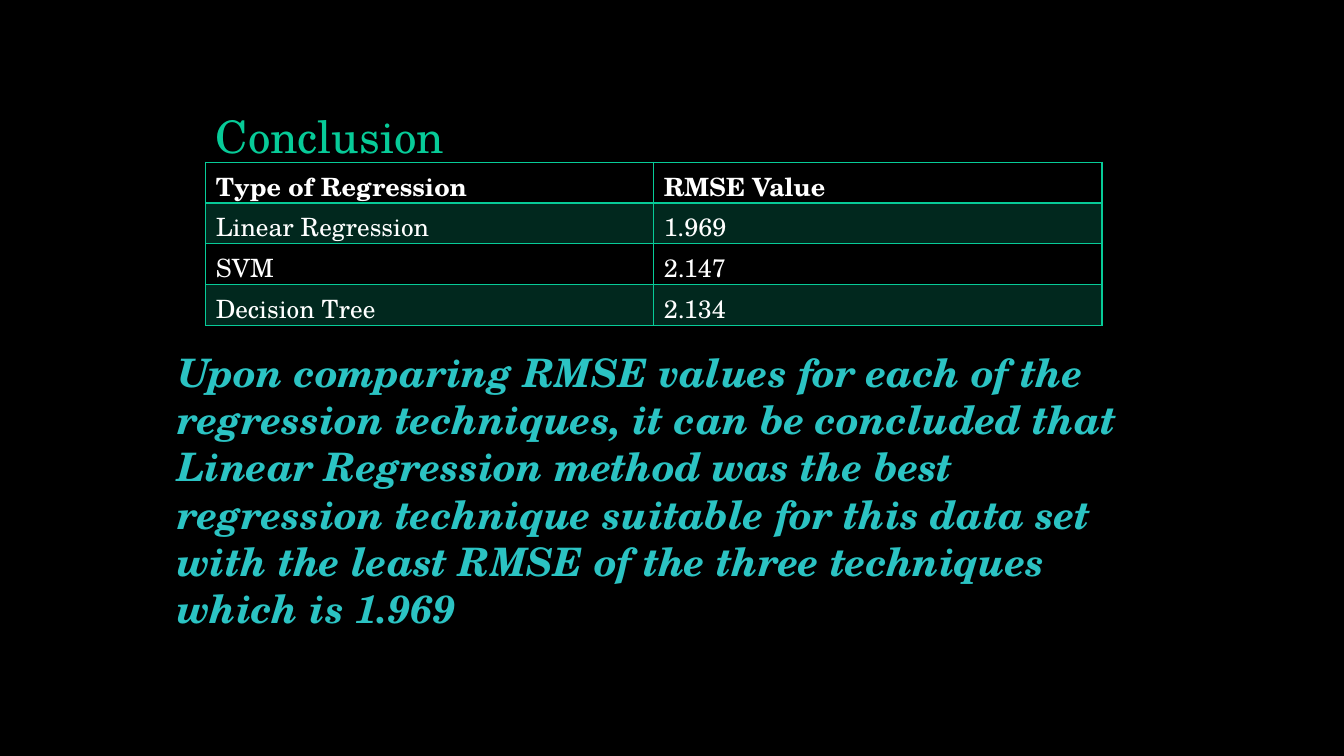
from lxml import etree
from pptx import Presentation
from pptx.dml.color import RGBColor
from pptx.enum.text import MSO_ANCHOR, MSO_AUTO_SIZE, PP_ALIGN
from pptx.oxml.ns import qn
from pptx.util import Inches, Pt

LEFT = PP_ALIGN.LEFT
TOP = MSO_ANCHOR.TOP
FIXED = MSO_AUTO_SIZE.NONE
GROW = MSO_AUTO_SIZE.SHAPE_TO_FIT_TEXT
TITLE_ONLY = 5

COLORS = {"background": "000000", "accent": "07CB98", "finding": "2BC3C3", "cell": "FFFFFF"}
RMSE_ROWS = [
    ("Type of Regression", "RMSE Value"),
    ("Linear Regression", "1.969"),
    ("SVM", "2.147"),
    ("Decision Tree", "2.134"),
]
FINDING = (
    "Upon comparing RMSE values for each of the regression techniques, "
    "it can be concluded that Linear Regression method was the best regression "
    "technique suitable for this data set with the least RMSE of the three "
    "techniques which is 1.969"
)


class SlideBuilder:
    """Hold the style and the current slide, and add elements to it."""

    font_name = "TeX Gyre Schola"

    def __init__(self, slide):
        self.slide = slide

    def color(self, name):
        return RGBColor.from_string(COLORS[name])

    def background(self, name):
        fill = self.slide.background.fill
        fill.solid()
        fill.fore_color.rgb = self.color(name)

    def set_text(self, frame, text, size, color, bold=False, italic=False):
        frame.text = text
        paragraph = frame.paragraphs[0]
        paragraph.alignment = LEFT
        font = paragraph.font
        font.name, font.size = self.font_name, Pt(size)
        font.bold, font.italic = bold, italic
        font.color.rgb = self.color(color)
        return paragraph

    def title(self, text, left, top, width, height):
        heading = self.slide.shapes.title
        heading.left, heading.top = Inches(left), Inches(top)
        heading.width, heading.height = Inches(width), Inches(height)
        frame = heading.text_frame
        frame.auto_size, frame.vertical_anchor = FIXED, TOP
        self.set_text(frame, text, 32, "accent").line_spacing = 0.9

    def statement(self, text, left, top, width, height):
        box = self.slide.shapes.add_textbox(
            Inches(left), Inches(top), Inches(width), Inches(height))
        frame = box.text_frame
        frame.word_wrap, frame.auto_size = True, GROW
        self.set_text(frame, text, 28, "finding", bold=True, italic=True)

    def shade(self, cell, opacity):
        cell.fill.solid()
        cell.fill.fore_color.rgb = self.color("accent")
        tint = cell._tc.tcPr.find(f"{qn('a:solidFill')}/{qn('a:srgbClr')}")
        etree.SubElement(tint, qn("a:alpha"), val=str(opacity * 1000))

    def border(self, cell, top, bottom):
        widths = {"lnL": 1, "lnR": 1, "lnT": top, "lnB": bottom}
        for position, (side, width) in enumerate(widths.items()):
            line = etree.Element(qn(f"a:{side}"), w=str(Pt(width)))
            fill = etree.SubElement(line, qn("a:solidFill"))
            etree.SubElement(fill, qn("a:srgbClr"), val=COLORS["accent"])
            cell._tc.tcPr.insert(position, line)

    def table(self, rows, left, top, width, height):
        grid = self.slide.shapes.add_table(
            len(rows), len(rows[0]), Inches(left), Inches(top),
            Inches(width), Inches(height)).table
        for row, values in enumerate(rows):
            for column, value in enumerate(values):
                cell = grid.cell(row, column)
                self.set_text(cell.text_frame, value, 18, "cell", bold=row == 0)
                if row % 2:
                    self.shade(cell, 20)
                else:
                    cell.fill.background()
                self.border(cell, 2 if row == 1 else 1, 2 if row == 0 else 1)


def main():
    deck = Presentation()
    deck.slide_width, deck.slide_height = Inches(13.33), Inches(7.5)
    builder = SlideBuilder(deck.slides.add_slide(deck.slide_layouts[TITLE_ONLY]))
    builder.background("background")
    builder.title("Conclusion", 2.04, 1.09, 8.5, 0.7)
    builder.statement(FINDING, 1.66, 3.41, 9.67, 2.93)
    builder.table(RMSE_ROWS, 2.04, 1.61, 8.89, 1.62)
    deck.save("out.pptx")


if __name__ == "__main__":
    main()
